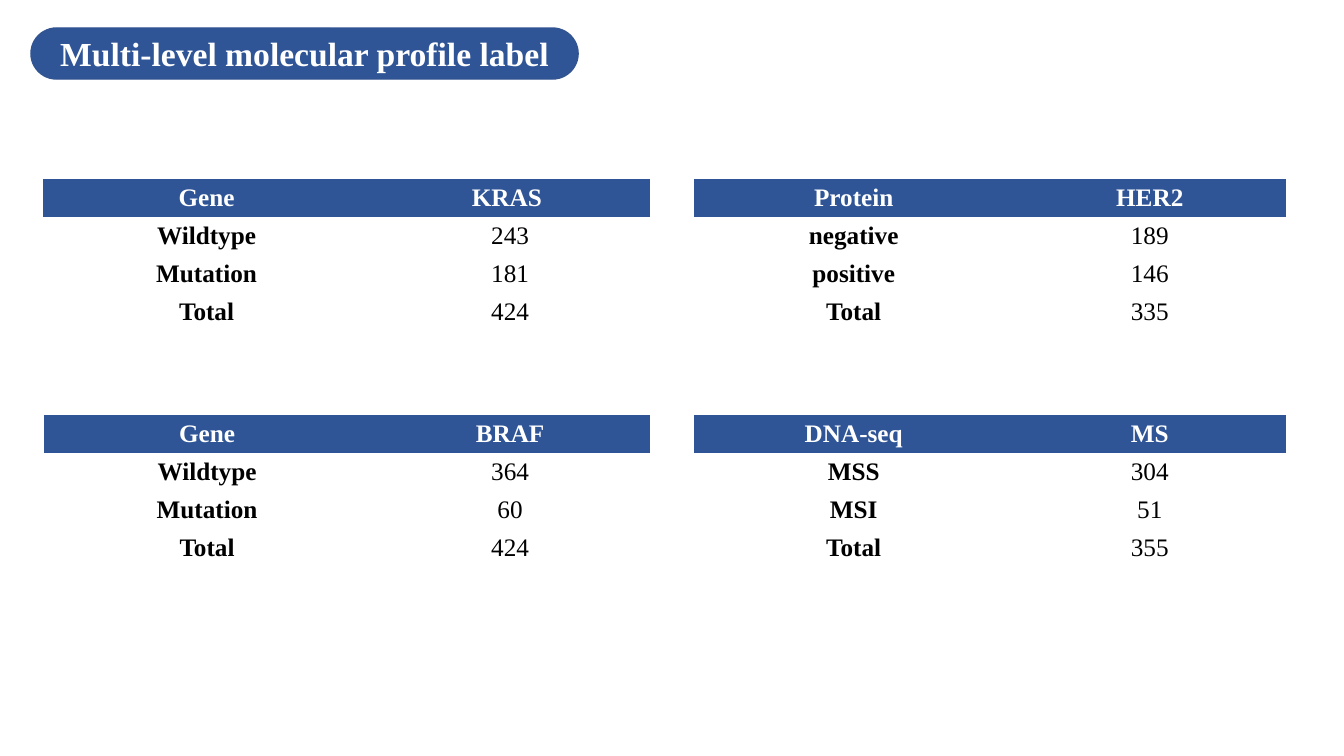
"""Builds the slide of molecular label counts: a pill title and four small tables."""
from dataclasses import dataclass

from pptx import Presentation
from pptx.dml.color import RGBColor
from pptx.enum.shapes import MSO_SHAPE
from pptx.enum.text import MSO_ANCHOR, MSO_AUTO_SIZE, PP_ALIGN
from pptx.oxml.ns import qn
from pptx.slide import Slide
from pptx.util import Emu, Inches, Pt

PX_PER_INCH = 100.8
FONT = "Times New Roman"
COLORS = {"blue": "2F5597", "outline": "325491", "white": "FFFFFF", "black": "000000"}
PLAIN_TABLE_STYLE = "{2D5ABB26-0587-4C30-8999-92F81FD0307C}"
TITLE_BOX = (31, 28, 547, 51)
ROW_HEIGHT = 38
CELL_MARGIN = 4
TOP_ROW, BOTTOM_ROW = 179, 415
LEFT_COLUMN, RIGHT_COLUMN = 43, 694
LEFT_WIDTHS, RIGHT_WIDTHS = (327, 280), (319, 273)


@dataclass(frozen=True)
class LabelTable:
    left: int
    top: int
    widths: tuple[int, int]
    rows: tuple[tuple[str, str], ...]


TABLES = (
    LabelTable(LEFT_COLUMN, TOP_ROW, LEFT_WIDTHS,
               (("Gene", "KRAS "), ("Wildtype", "243"), ("Mutation", "181"), ("Total", "424"))),
    LabelTable(RIGHT_COLUMN, TOP_ROW, RIGHT_WIDTHS,
               (("Protein", "HER2"), ("negative", "189"), ("positive", "146"), ("Total", "335"))),
    LabelTable(RIGHT_COLUMN, BOTTOM_ROW, RIGHT_WIDTHS,
               (("DNA-seq", "MS"), ("MSS", "304"), ("MSI", "51"), ("Total", "355"))),
    LabelTable(LEFT_COLUMN + 1, BOTTOM_ROW, (326, 280),
               (("Gene", "BRAF"), ("Wildtype", "364"), ("Mutation", "60"), ("Total", "424"))),
)


def px(length: int) -> Emu:
    return Emu(round(length * 914400 / PX_PER_INCH))


def rgb(name: str) -> RGBColor:
    return RGBColor.from_string(COLORS[name])


def write(frame, text: str, size: int, color: str, bold: bool) -> None:
    frame.text = text
    para = frame.paragraphs[0]
    para.alignment = PP_ALIGN.CENTER
    para.font.name = FONT
    para.font.size = Pt(size)
    para.font.bold = bold
    para.font.color.rgb = rgb(color)


def draw_title(page: Slide, text: str) -> None:
    bounds = [px(length) for length in TITLE_BOX]
    pill = page.shapes.add_shape(MSO_SHAPE.ROUNDED_RECTANGLE, *bounds)
    pill.adjustments[0] = 0.5
    pill.shadow.inherit = False
    pill.fill.solid()
    pill.fill.fore_color.rgb = rgb("blue")
    pill.line.color.rgb = rgb("outline")
    pill.line.width = Pt(1)

    title = page.shapes.title
    title.left, title.top, title.width, title.height = bounds
    page.shapes._spTree.append(title._element)
    frame = title.text_frame
    frame.auto_size = MSO_AUTO_SIZE.NONE
    frame.vertical_anchor = MSO_ANCHOR.MIDDLE
    write(frame, text, 24, "white", True)


def draw_table(page: Slide, label: LabelTable) -> None:
    table = page.shapes.add_table(
        len(label.rows), len(label.widths), px(label.left), px(label.top),
        px(sum(label.widths)), px(ROW_HEIGHT * len(label.rows))).table
    table.horz_banding = False
    table._tbl.tblPr.find(qn("a:tableStyleId")).text = PLAIN_TABLE_STYLE
    for column, width in zip(table.columns, label.widths):
        column.width = px(width)
    for row_index, values in enumerate(label.rows):
        table.rows[row_index].height = px(ROW_HEIGHT)
        is_header = row_index == 0
        for column_index, value in enumerate(values):
            cell = table.cell(row_index, column_index)
            cell.margin_top = cell.margin_bottom = px(CELL_MARGIN)
            cell.vertical_anchor = MSO_ANCHOR.MIDDLE
            if is_header:
                cell.fill.solid()
                cell.fill.fore_color.rgb = rgb("blue")
            else:
                cell.fill.background()
            write(cell.text_frame, value, 18, "white" if is_header else "black",
                  is_header or column_index == 0)


def main() -> None:
    deck = Presentation()
    deck.slide_width, deck.slide_height = Inches(13.33), Inches(7.5)
    page = deck.slides.add_slide(deck.slide_layouts.get_by_name("Title Only"))
    draw_title(page, "Multi-level molecular profile label")
    for label in TABLES:
        draw_table(page, label)
    deck.save("out.pptx")


if __name__ == "__main__":
    main()
